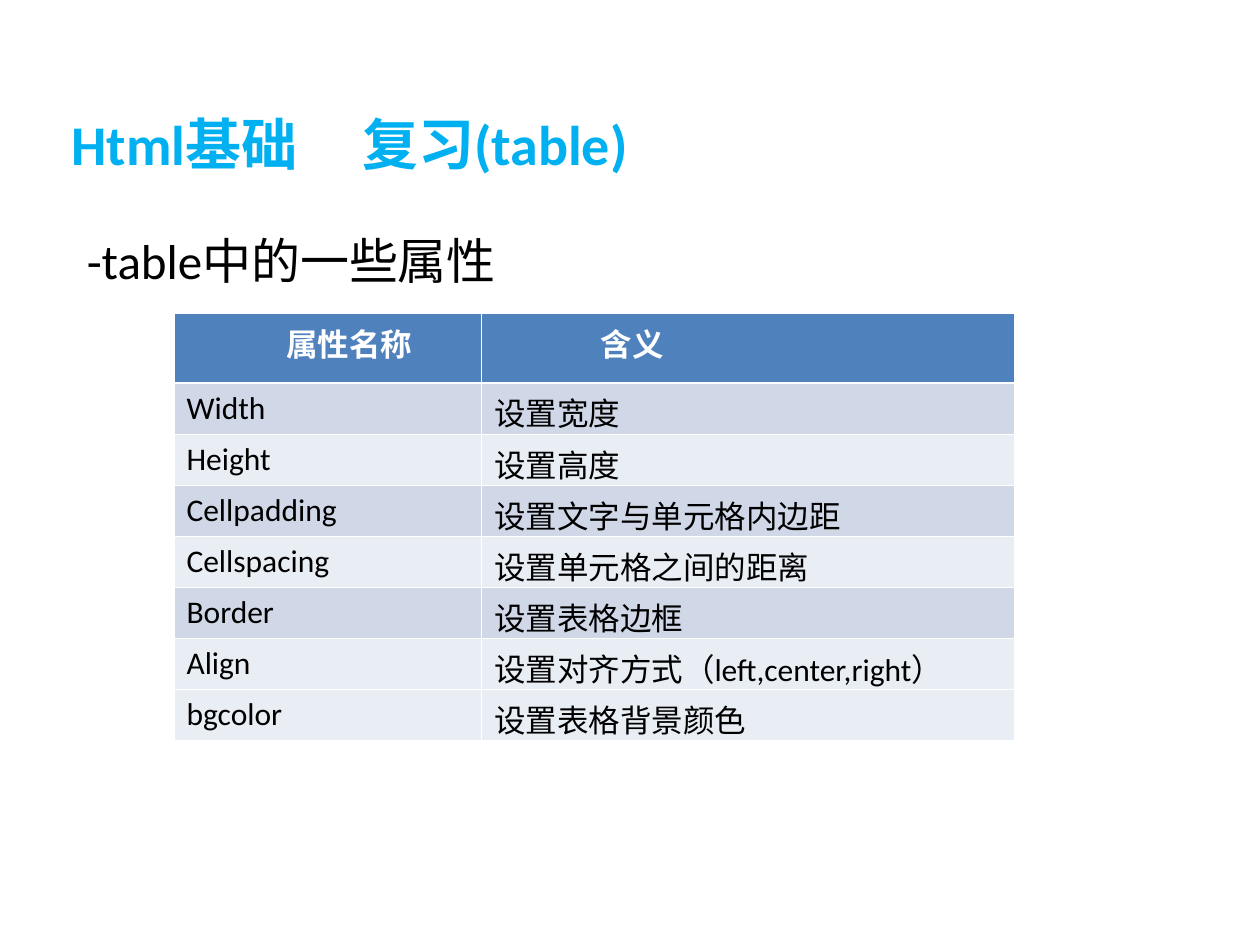
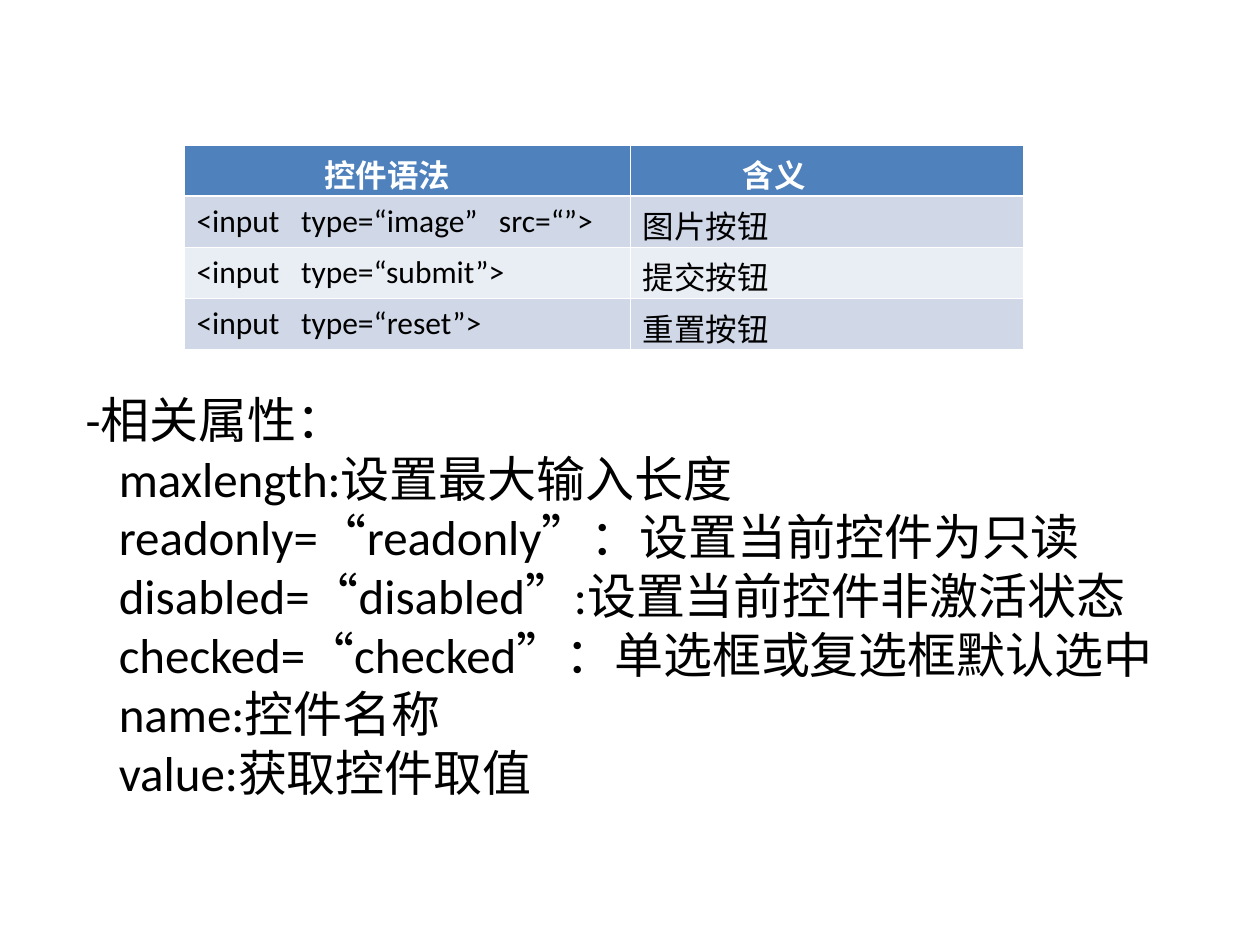
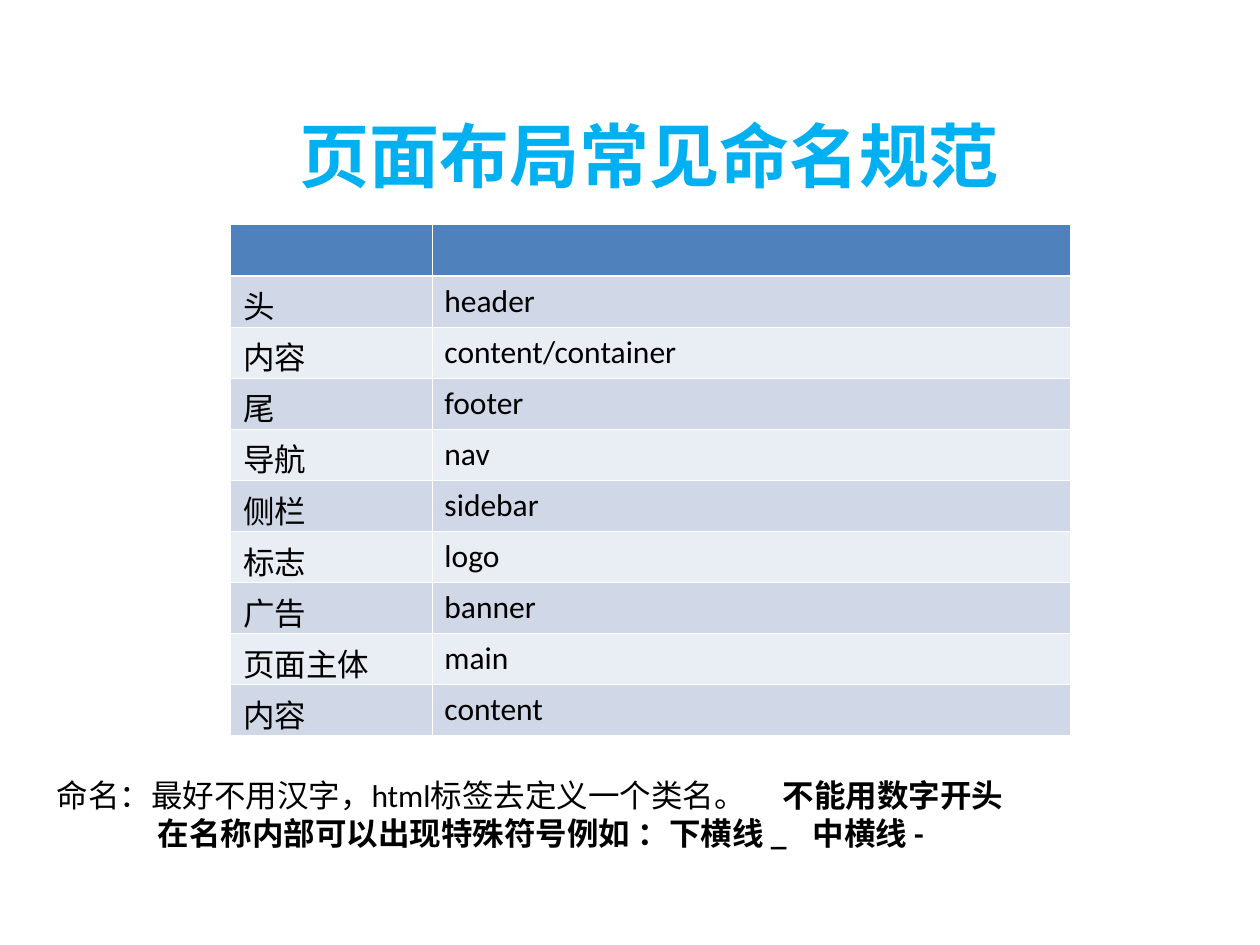
import dataclasses

import pptx
import pptx.dml.color
import pptx.enum.text
import pptx.oxml
import pptx.oxml.ns
import pptx.util

Pt = pptx.util.Pt
RGBColor = pptx.dml.color.RGBColor
PP_ALIGN = pptx.enum.text.PP_ALIGN


@dataclasses.dataclass(frozen=True)
class Theme:
    font: str = "Calibri"
    title: str = "00B0F0"
    text: str = "000000"
    white: str = "FFFFFF"
    header: str = "4F81BD"
    bands: tuple = ("D0D8E8", "E9EDF4")
    large_title_size: float = 40
    title_size: float = 32
    body_size: float = 28
    small_size: float = 18
    thin_line: float = 0.45
    thick_line: float = 1.47
    row_height: float = 29.2


@dataclasses.dataclass(frozen=True)
class Line:
    """One paragraph; each tab in its text jumps to the next stop."""
    text: str
    bold_tail: str = ""
    bold: bool = False
    indent: float = 0
    stops: tuple = ()


class Builder:
    def __init__(self, deck, theme):
        self.deck = deck
        self.theme = theme
        self.slide = None

    def start_slide(self):
        self.slide = self.deck.slides.add_slide(self.deck.slide_layouts[6])

    def add_span(self, para, text, size, color, bold):
        span = para.add_run()
        span.text = text
        span.font.name = self.theme.font
        span.font.size = Pt(size)
        span.font.bold = bold
        span.font.color.rgb = RGBColor.from_string(color)

    def add_lines(self, frame, lines, size, color, align=PP_ALIGN.LEFT):
        for index, line in enumerate(lines):
            para = frame.add_paragraph() if index else frame.paragraphs[0]
            para.alignment = align
            self.set_indent_and_stops(para, line)
            self.add_span(para, line.text, size, color, line.bold)
            if line.bold_tail:
                self.add_span(para, line.bold_tail, size, color, True)

    def set_indent_and_stops(self, para, line):
        properties = para._p.get_or_add_pPr()
        if line.indent:
            properties.set("marL", "0")
            properties.set("indent", str(Pt(line.indent)))
        if line.stops:
            stop_list = pptx.oxml.parse_xml(f"<a:tabLst {pptx.oxml.ns.nsdecls('a')}/>")
            for stop in line.stops:
                tab = stop_list.makeelement(pptx.oxml.ns.qn("a:tab"), {"pos": str(Pt(stop)), "algn": "l"})
                stop_list.append(tab)
            properties.append(stop_list)

    def add_text(self, left, top, width, height, lines, size, color=None, align=PP_ALIGN.LEFT):
        box = self.slide.shapes.add_textbox(Pt(left), Pt(top), Pt(width), Pt(height))
        box.text_frame.word_wrap = True
        self.add_lines(box.text_frame, lines, size, color or self.theme.text, align)

    def add_title(self, left, top, width, height, line, size, align=PP_ALIGN.LEFT):
        self.add_text(left, top, width, height, [line], size, self.theme.title, align)

    def add_borders(self, cell, row):
        """Thin white lines, with a thick one between header and body."""
        properties = cell._tc.get_or_add_tcPr()
        thin, thick = self.theme.thin_line, self.theme.thick_line
        widths = {"lnL": thin, "lnR": thin, "lnT": thick if row == 1 else thin, "lnB": thick if row == 0 else thin}
        for tag, width in widths.items():
            properties.append(pptx.oxml.parse_xml(
                f'<a:{tag} {pptx.oxml.ns.nsdecls("a")} w="{Pt(width)}"><a:solidFill>'
                f'<a:srgbClr val="{self.theme.white}"/></a:solidFill></a:{tag}>'))

    def add_table(self, left, top, column_widths, header, body, header_height=None, last_band=None):
        theme = self.theme
        rows = [header] + [[Line(text) if isinstance(text, str) else text for text in row] for row in body]
        heights = [header_height or theme.row_height] + [theme.row_height] * len(body)
        fills = [theme.header] + [theme.bands[index % 2] for index in range(len(body))]
        if last_band is not None:
            fills[-1] = theme.bands[last_band]
        table = self.slide.shapes.add_table(
            len(rows), len(column_widths), Pt(left), Pt(top), Pt(sum(column_widths)), Pt(sum(heights))).table
        for column, width in zip(table.columns, column_widths):
            column.width = Pt(width)
        for row, lines in enumerate(rows):
            table.rows[row].height = Pt(heights[row])
            for column, line in enumerate(lines):
                cell = table.cell(row, column)
                self.add_borders(cell, row)
                cell.fill.solid()
                cell.fill.fore_color.rgb = RGBColor.from_string(fills[row])
                if line:
                    color = theme.text if row else theme.white
                    self.add_lines(cell.text_frame, [line], theme.small_size, color)


def add_table_attributes(builder):
    theme = builder.theme
    builder.start_slide()
    builder.add_title(33.8, 59, 669, 46, Line("Html基础\t复习(table)", bold=True, stops=(166,)), theme.title_size)
    builder.add_text(42.5, 128.2, 646.5, 75, [Line("-table中的一些属性")], theme.body_size)
    builder.add_table(
        99.4, 179.3, (175.7, 304.5),
        [Line("属性名称", bold=True, indent=57), Line("含义", bold=True, indent=61)],
        [
            ("Width", "设置宽度"),
            ("Height", "设置高度"),
            ("Cellpadding", "设置文字与单元格内边距"),
            ("Cellspacing", "设置单元格之间的距离"),
            ("Border", "设置表格边框"),
            ("Align", "设置对齐方式（left,center,right）"),
            ("bgcolor", "设置表格背景颜色"),
        ],
        header_height=39.6, last_band=1)


def add_form_controls(builder):
    builder.start_slide()
    stops = (59.7, 172.8)
    builder.add_table(
        105.1, 82.8, (255, 224.8),
        [Line("控件语法", bold=True, indent=73), Line("含义", bold=True, indent=57)],
        [
            (Line("<input\ttype=“image”\tsrc=“”>", stops=stops), "图片按钮"),
            (Line("<input\ttype=“submit”>", stops=stops), "提交按钮"),
            (Line("<input\ttype=“reset”>", stops=stops), "重置按钮"),
        ])
    attributes = (
        "maxlength:设置最大输入长度",
        "readonly=“readonly”：设置当前控件为只读",
        "disabled=“disabled”:设置当前控件非激活状态",
        "checked=“checked”：单选框或复选框默认选中",
        "name:控件名称",
        "value:获取控件取值",
    )
    lines = [Line("-相关属性：")] + [Line(text, indent=19) for text in attributes]
    builder.add_text(41.8, 218.9, 635, 242.6, lines, builder.theme.body_size)


def add_naming_rules(builder):
    theme = builder.theme
    builder.start_slide()
    builder.add_title(82, 60.5, 578, 55.4, Line("页面布局常见命名规范", bold=True),
                      theme.large_title_size, PP_ALIGN.CENTER)
    builder.add_table(
        131.8, 128.4, (115, 365), [None, None],
        [
            ("头", "header"),
            ("内容", "content/container"),
            ("尾", "footer"),
            ("导航", "nav"),
            ("侧栏", "sidebar"),
            ("标志", "logo"),
            ("广告", "banner"),
            ("页面主体", "main"),
            ("内容", "content"),
        ])
    builder.add_text(25.2, 440, 680.4, 50.4, [
        Line("命名：最好不用汉字，html标签去定义一个类名。\t", bold_tail="不能用数字开头", stops=(415,)),
        Line("在名称内部可以出现特殊符号例如 ：下横线 _\t中横线 -", bold=True, indent=58, stops=(454,)),
    ], theme.small_size)


def main():
    deck = pptx.Presentation()
    deck.slide_width, deck.slide_height = Pt(720), Pt(540)
    builder = Builder(deck, Theme())
    add_table_attributes(builder)
    add_form_controls(builder)
    add_naming_rules(builder)
    deck.save("out.pptx")


if __name__ == "__main__":
    main()
